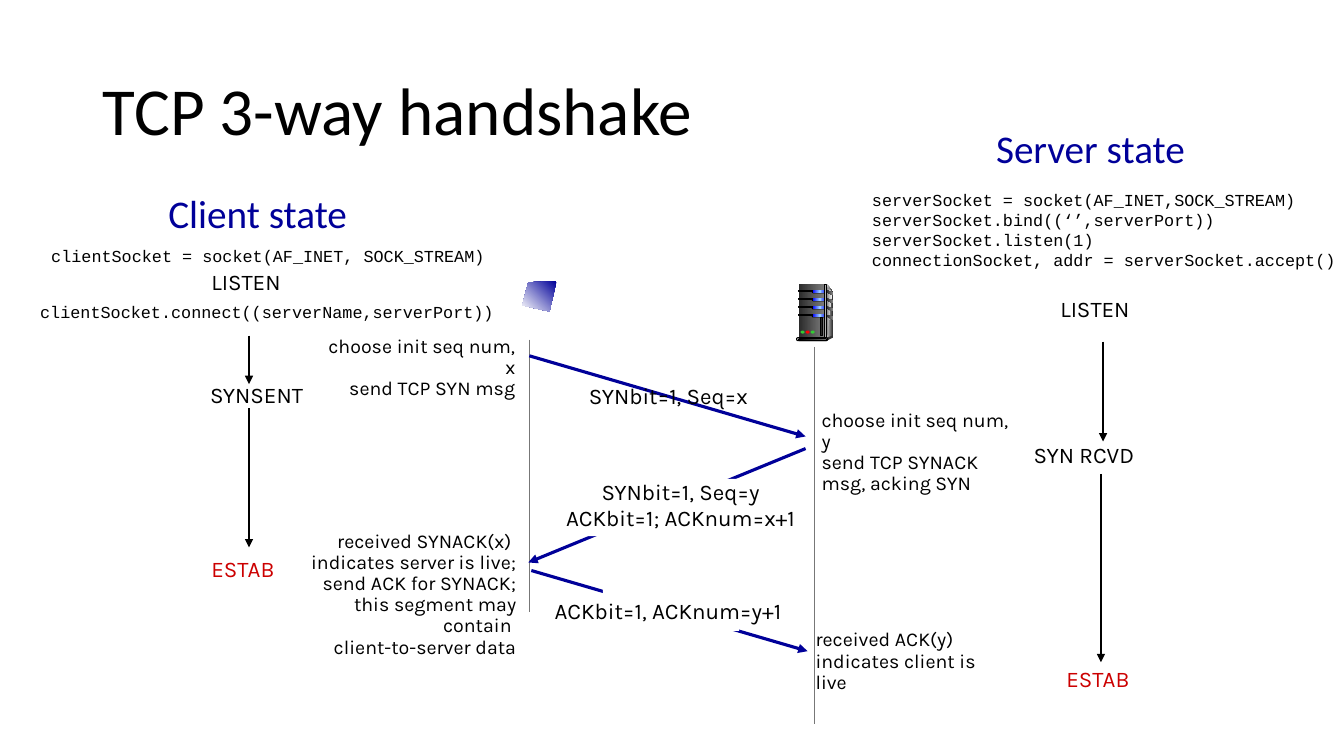
from dataclasses import dataclass

from lxml import etree
from pptx import Presentation
from pptx.dml.color import RGBColor
from pptx.enum.shapes import MSO_CONNECTOR, MSO_SHAPE
from pptx.enum.text import MSO_ANCHOR, MSO_AUTO_SIZE, PP_ALIGN
from pptx.oxml.ns import qn
from pptx.util import Inches, Pt

LEFT, CENTER, RIGHT = PP_ALIGN.LEFT, PP_ALIGN.CENTER, PP_ALIGN.RIGHT
TOP, MIDDLE = MSO_ANCHOR.TOP, MSO_ANCHOR.MIDDLE
RECTANGLE, ROUNDED, OVAL = MSO_SHAPE.RECTANGLE, MSO_SHAPE.ROUNDED_RECTANGLE, MSO_SHAPE.OVAL
STRAIGHT = MSO_CONNECTOR.STRAIGHT
NO_AUTO_SIZE = MSO_AUTO_SIZE.NONE


@dataclass(frozen=True)
class Theme:
    heading_font: str = "Calibri"
    body_font: str = "Karla"
    code_font: str = "Courier New"
    title_size: int = 48
    heading_size: int = 28
    label_size: int = 16
    note_size: int = 14
    code_size: int = 12
    black: str = "000000"
    white: str = "FFFFFF"
    blue: str = "000099"
    red: str = "CC0000"
    gray: str = "777777"
    charcoal: str = "333333"
    silver: str = "DDDDDD"
    case_front: tuple = ("292929", "808080")
    case_side: tuple = ("DDDDDD", "333333")
    case_shine: tuple = ("808080", "F8F8F8")
    case_edge: tuple = ("333333", "DDDDDD", "333333")
    case_foot: tuple = ("000000", "808080")
    drive: tuple = ("0000FF", "99CCFF", "0000FF")
    laptop: tuple = ("000099", "FFFFFF")
    light_green: str = "33CC33"
    light_red: str = "FF0000"
    slot: str = "292929"


class HandshakeSlide:
    def __init__(self, presentation, theme):
        self.theme = theme
        self.slide = presentation.slides.add_slide(presentation.slide_layouts[5])
        self.shapes = self.slide.shapes

    def set_lines(self, frame, lines, font, size, color, align=LEFT, spacing=1.0):
        frame.text = "\n".join(lines)
        for paragraph in frame.paragraphs:
            paragraph.alignment = align
            paragraph.line_spacing = spacing
            paragraph.font.name = font
            paragraph.font.size = Pt(size)
            paragraph.font.color.rgb = RGBColor.from_string(color)

    def title(self, text, left, top, width, height):
        shape = self.shapes.title
        shape.left, shape.top = Inches(left), Inches(top)
        shape.width, shape.height = Inches(width), Inches(height)
        frame = shape.text_frame
        frame.auto_size = NO_AUTO_SIZE
        frame.vertical_anchor = MIDDLE
        theme = self.theme
        self.set_lines(frame, [text], theme.heading_font, theme.title_size, theme.black, spacing=0.9)

    def text(self, box, lines, font, size, color, align=LEFT, spacing=1.0, wrap=False, anchor=TOP):
        frame = self.shapes.add_textbox(*map(Inches, box)).text_frame
        frame.word_wrap = wrap
        frame.vertical_anchor = anchor
        self.set_lines(frame, lines, font, size, color, align, spacing)

    def heading(self, box, text):
        theme = self.theme
        self.text(box, [text], theme.heading_font, theme.heading_size, theme.blue, RIGHT)

    def label(self, box, *lines, color=None):
        theme = self.theme
        self.text(box, lines, theme.body_font, theme.label_size, color or theme.black, CENTER)

    def note(self, box, lines, align):
        theme = self.theme
        self.text(box, lines, theme.body_font, theme.note_size, theme.black, align, 0.9, True)

    def code(self, box, *lines, anchor=MIDDLE):
        theme = self.theme
        self.text(box, lines, theme.code_font, theme.code_size, theme.black, wrap=True, anchor=anchor)

    def line(self, start, end, color, width=0.75, arrow=True):
        connector = self.shapes.add_connector(STRAIGHT, *map(Inches, (*start, *end)))
        connector.line.color.rgb = RGBColor.from_string(color)
        connector.line.width = Pt(width)
        properties = connector._element.spPr
        if arrow:
            etree.SubElement(properties.find(qn("a:ln")), qn("a:tailEnd"), type="triangle")
        etree.SubElement(properties, qn("a:effectLst"))

    def paint(self, shape, fill, outline=None, angle=0):
        shape.shadow.inherit = False
        if isinstance(fill, str):
            shape.fill.solid()
            shape.fill.fore_color.rgb = RGBColor.from_string(fill)
        else:
            shape.fill.gradient()
            shape.fill.gradient_angle = angle
            stops = shape._element.spPr.find(".//" + qn("a:gsLst"))
            for stop in list(stops):
                stops.remove(stop)
            for index, color in enumerate(fill):
                position = str(index * 100000 // (len(fill) - 1))
                stop = etree.SubElement(stops, qn("a:gs"), pos=position)
                etree.SubElement(stop, qn("a:srgbClr"), val=color)
        if outline:
            shape.line.color.rgb = RGBColor.from_string(outline)
            shape.line.width = Pt(0.75)
        else:
            shape.line.fill.background()

    def shape(self, kind, box, fill, outline=None):
        shape = self.shapes.add_shape(kind, *map(Inches, box))
        if kind == ROUNDED:
            shape.adjustments[0] = 0.5
        self.paint(shape, fill, outline)

    def polygon(self, points, fill, angle=0):
        corners = [(Inches(x), Inches(y)) for x, y in points]
        builder = self.shapes.build_freeform(*corners[0])
        builder.add_line_segments(corners[1:], close=True)
        self.paint(builder.convert_to_shape(), fill, angle=angle)

    def server(self):
        theme = self.theme
        self.polygon([(8.2, 2.82), (8.26, 2.89), (8.26, 3.33), (8.19, 3.36)], theme.case_side)
        self.shape(RECTANGLE, (7.92, 2.82, 0.27, 0.53), theme.case_front)
        self.polygon([(8.2, 2.85), (8.25, 2.9), (8.22, 3.2), (8.2, 3.34)], theme.case_shine)
        bays = [2.88 + 0.08 * index for index in range(4)]
        for top in bays:
            self.shape(RECTANGLE, (7.92, top, 0.15, 0.01), theme.black, theme.black)
            self.shape(ROUNDED, (8.05, top, 0.15, 0.03), theme.black)
            self.shape(ROUNDED, (8.06, top, 0.14, 0.03), theme.drive)
        self.shape(RECTANGLE, (8.18, 2.82, 0.02, 0.54), theme.case_edge, theme.black)
        for top in bays:
            fin = [(8.2, top), (8.26, top + 0.02), (8.26, top + 0.05), (8.2, top + 0.02)]
            self.polygon(fin, theme.case_front)
        self.shape(OVAL, (8.25, 3.33, 0.01, 0.02), theme.charcoal)
        self.polygon([(8.2, 3.35), (8.2, 3.38), (8.26, 3.35), (8.26, 3.33)], theme.charcoal)
        self.shape(ROUNDED, (7.9, 3.35, 0.31, 0.03), theme.silver, theme.black)
        self.shape(ROUNDED, (7.92, 3.36, 0.28, 0.02), theme.case_foot, theme.black)
        lights = (theme.light_green, theme.light_red, theme.light_green)
        for index, color in enumerate(lights):
            self.shape(OVAL, (7.94 + 0.05 * index, 3.28, 0.04, 0.03), color)
        self.shape(RECTANGLE, (8.14, 3.15, 0.02, 0.18), theme.slot, theme.black)


def main():
    presentation = Presentation()
    presentation.slide_width, presentation.slide_height = Inches(13.33), Inches(7.5)
    theme = Theme()
    page = HandshakeSlide(presentation, theme)
    page.title("TCP 3-way handshake", 0.92, 0.4, 11.5, 1.45)

    page.line((5.25, 3.37), (5.25, 6.07), theme.gray, arrow=False)
    page.line((8.08, 3.44), (8.08, 7.18), theme.gray, arrow=False)
    page.line((5.25, 3.53), (7.99, 4.33), theme.blue, 2.25)
    page.label((5.68, 3.74, 1.9, 0.37), "SYNbit=1, Seq=x")
    page.line((7.99, 4.45), (5.24, 5.58), theme.blue, 2.25)
    page.shape(RECTANGLE, (5.8, 4.75, 1.56, 0.57), theme.white)
    page.label((5.42, 4.69, 2.66, 0.64), "SYNbit=1, Seq=y", "ACKbit=1; ACKnum=x+1")
    page.line((5.27, 5.66), (8.01, 6.46), theme.blue, 2.25)
    page.shape(RECTANGLE, (5.98, 5.79, 1.35, 0.47), theme.white)
    page.label((5.3, 5.87, 2.65, 0.37), "ACKbit=1, ACKnum=y+1")

    page.note((3.07, 3.29, 2.14, 0.52), ["choose init seq num, x", "send TCP SYN msg"], RIGHT)
    page.note((8.05, 4.02, 2.14, 0.73),
              ["choose init seq num, y", "send TCP SYNACK", "msg, acking SYN"], LEFT)
    page.note((2.75, 5.22, 2.47, 1.15),
              ["received SYNACK(x) ", "indicates server is live;", "send ACK for SYNACK;",
               "this segment may contain ", "client-to-server data"], RIGHT)
    page.note((7.99, 6.2, 2.01, 0.52), ["received ACK(y)", "indicates client is live"], LEFT)

    page.heading((1.53, 1.83, 2.01, 0.84), "Client state")
    page.label((1.98, 2.61, 0.92, 0.37), "LISTEN")
    page.line((2.47, 3.33), (2.47, 3.81), theme.black)
    page.label((1.98, 3.73, 1.13, 0.37), "SYNSENT")
    page.line((2.47, 4.05), (2.47, 5.43), theme.black)
    page.label((1.99, 5.46, 0.84, 0.37), "ESTAB", color=theme.red)

    page.heading((9.74, 1.18, 2.11, 0.84), "Server state")
    page.label((10.4, 2.88, 0.92, 0.37), "LISTEN")
    page.line((10.94, 3.39), (10.94, 4.38), theme.black)
    page.label((10.14, 4.33, 1.22, 0.37), "SYN RCVD")
    page.line((10.92, 4.7), (10.92, 6.57), theme.black)
    page.label((10.47, 6.55, 0.84, 0.37), "ESTAB", color=theme.red)

    page.polygon([(5.52, 2.79), (5.24, 2.8), (5.18, 3.03), (5.45, 3.09)], theme.laptop, 225)
    page.server()

    page.code((0.41, 2.39, 4.6, 0.29), "clientSocket = socket(AF_INET, SOCK_STREAM)")
    page.code((0.3, 2.95, 4.85, 0.29), "clientSocket.connect((serverName,serverPort))")
    page.code((8.55, 1.83, 4.88, 1.1), "serverSocket = socket(AF_INET,SOCK_STREAM)",
              "serverSocket.bind((‘’,serverPort))", "serverSocket.listen(1)",
              "connectionSocket, addr = serverSocket.accept()", anchor=TOP)
    presentation.save("out.pptx")


if __name__ == "__main__":
    main()
